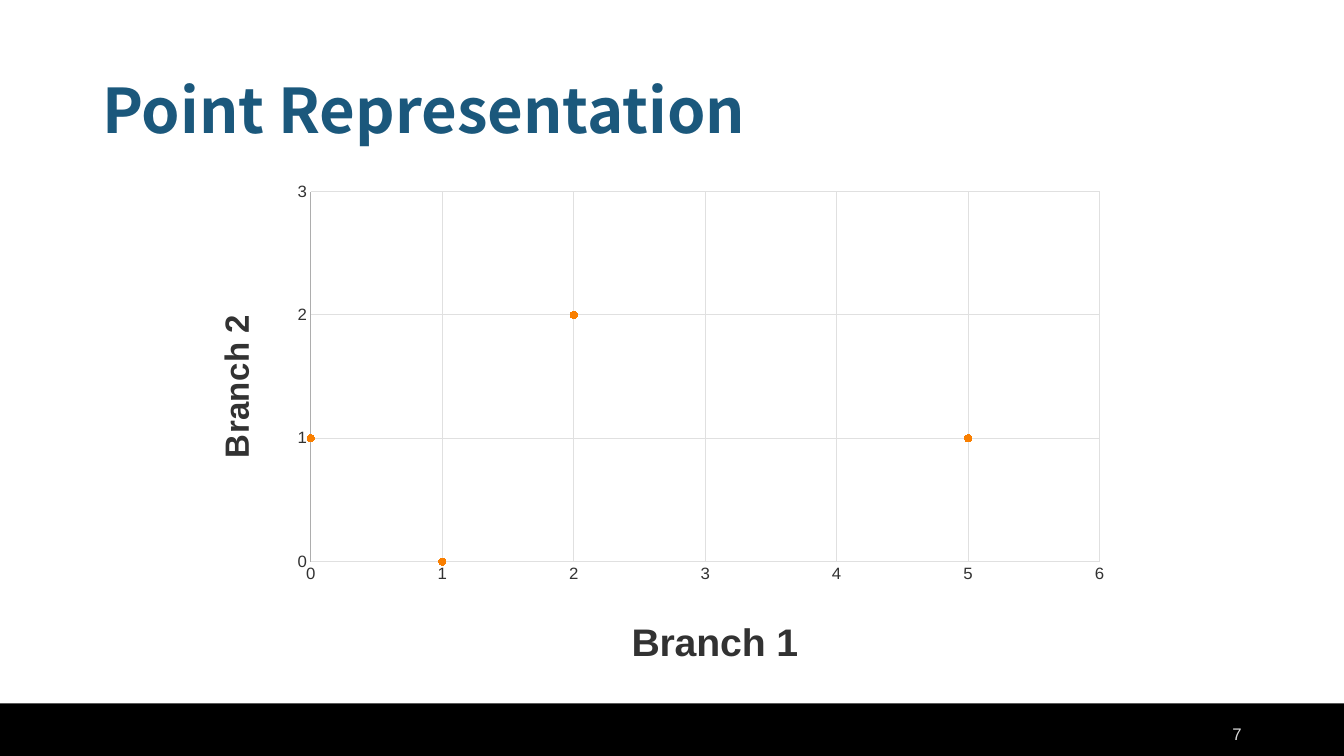
from lxml import etree
from pptx import Presentation
from pptx.chart.data import XyChartData
from pptx.dml.color import RGBColor
from pptx.enum.chart import XL_CHART_TYPE as ChartType, XL_MARKER_STYLE as MarkerStyle
from pptx.enum.chart import XL_TICK_MARK as TickMark
from pptx.enum.shapes import MSO_SHAPE as Shape
from pptx.enum.text import MSO_ANCHOR as Anchor, PP_ALIGN as Align
from pptx.oxml.ns import qn
from pptx.util import Pt

COLORS = {
    "title": "1B587C",
    "band": "000000",
    "number": "D9D9D9",
    "label": "323232",
    "grid": "E0E0E0",
    "axis": "ADADAD",
    "point": "F97F00",
}


def add_text(text, left, top, width, height, size, color, font="Arial",
             bold=False, align=Align.LEFT, spacing=1.0):
    frame = slide.shapes.add_textbox(Pt(left), Pt(top), Pt(width), Pt(height)).text_frame
    frame.word_wrap = True
    frame.vertical_anchor = Anchor.MIDDLE
    paragraph = frame.paragraphs[0]
    paragraph.alignment = align
    paragraph.line_spacing = spacing
    run = paragraph.add_run()
    run.text = text
    run.font.name = font
    run.font.size = Pt(size)
    run.font.bold = bold
    run.font.color.rgb = RGBColor.from_string(COLORS[color])


def set_layout(element, index, **settings):
    """Place a chart part by fractions of the chart area."""
    for old in element.findall(qn("c:layout")):
        element.remove(old)
    layout = etree.Element(qn("c:layout"))
    manual = etree.SubElement(layout, qn("c:manualLayout"))
    for name, value in settings.items():
        etree.SubElement(manual, qn(f"c:{name}")).set("val", str(value))
    element.insert(index, layout)


presentation = Presentation()
presentation.slide_width = Pt(960)
presentation.slide_height = Pt(540)
slide = presentation.slides.add_slide(presentation.slide_layouts[6])

# Footer band
band = slide.shapes.add_shape(Shape.RECTANGLE, 0, Pt(502.5), Pt(960), Pt(37.5))
band.shadow.inherit = False
band.fill.solid()
band.fill.fore_color.rgb = RGBColor.from_string(COLORS["band"])
band.line.fill.background()

# Title and slide number
add_text("Point Representation", 66, 29, 828, 104, size=44, color="title",
         font="Noto Sans CJK KR", bold=True, spacing=0.9)
add_text("7", 678, 510, 216, 28.8, size=12, color="number", align=Align.RIGHT)

# Scatter chart
data = XyChartData()
series_data = data.add_series("Series 1")
for x, y in [(0, 1), (1, 0), (2, 2), (5, 1)]:
    series_data.add_data_point(x, y)
chart = slide.shapes.add_chart(ChartType.XY_SCATTER, Pt(141), Pt(125.3),
                               Pt(659), Pt(358), data).chart
chart.has_legend = False
chart.has_title = False
chart.font.name = "Arial"
chart.font.size = Pt(10)
plot = chart.plots[0]
plot.vary_by_categories = False
set_layout(chart.element.find(".//" + qn("c:plotArea")), 0, layoutTarget="inner",
           xMode="edge", yMode="edge", x=0.123, y=0.033, w=0.855, h=0.754)

# Points
series = plot.series[0]
series.smooth = False
series.format.line.fill.background()
series.marker.style = MarkerStyle.CIRCLE
series.marker.size = 5
series.marker.format.fill.solid()
series.marker.format.fill.fore_color.rgb = RGBColor.from_string(COLORS["point"])
series.marker.format.line.fill.background()

# Axes: title, size, title position, rotation, maximum, line colour
axes = [
    (chart.category_axis, "Branch 1", 28, 0.463, 0.888, 0, 6, "grid"),
    (chart.value_axis, "Branch 2", 24, 0.012, 0.277, -90, 3, "axis"),
]
for axis, title, size, x, y, angle, maximum, line_color in axes:
    axis.minimum_scale = 0
    axis.maximum_scale = maximum
    axis.major_unit = 1
    axis.major_tick_mark = axis.minor_tick_mark = TickMark.NONE
    axis.has_major_gridlines = True
    for line, color in [(axis.format.line, line_color),
                        (axis.major_gridlines.format.line, "grid")]:
        line.width = Pt(0.75)
        line.color.rgb = RGBColor.from_string(COLORS[color])
    frame = axis.axis_title.text_frame
    frame.text = title
    title_font = frame.paragraphs[0].runs[0].font
    title_font.bold = True
    for font, points in [(axis.tick_labels.font, 12), (title_font, size)]:
        font.name = "Arial"
        font.size = Pt(points)
        font.color.rgb = RGBColor.from_string(COLORS["label"])
    title_element = axis.axis_title._element
    body = title_element.find(".//" + qn("a:bodyPr"))
    body.set("rot", str(angle * 60000))
    body.set("vert", "horz")
    set_layout(title_element, 1, xMode="edge", yMode="edge", x=x, y=y)

presentation.save("out.pptx")
